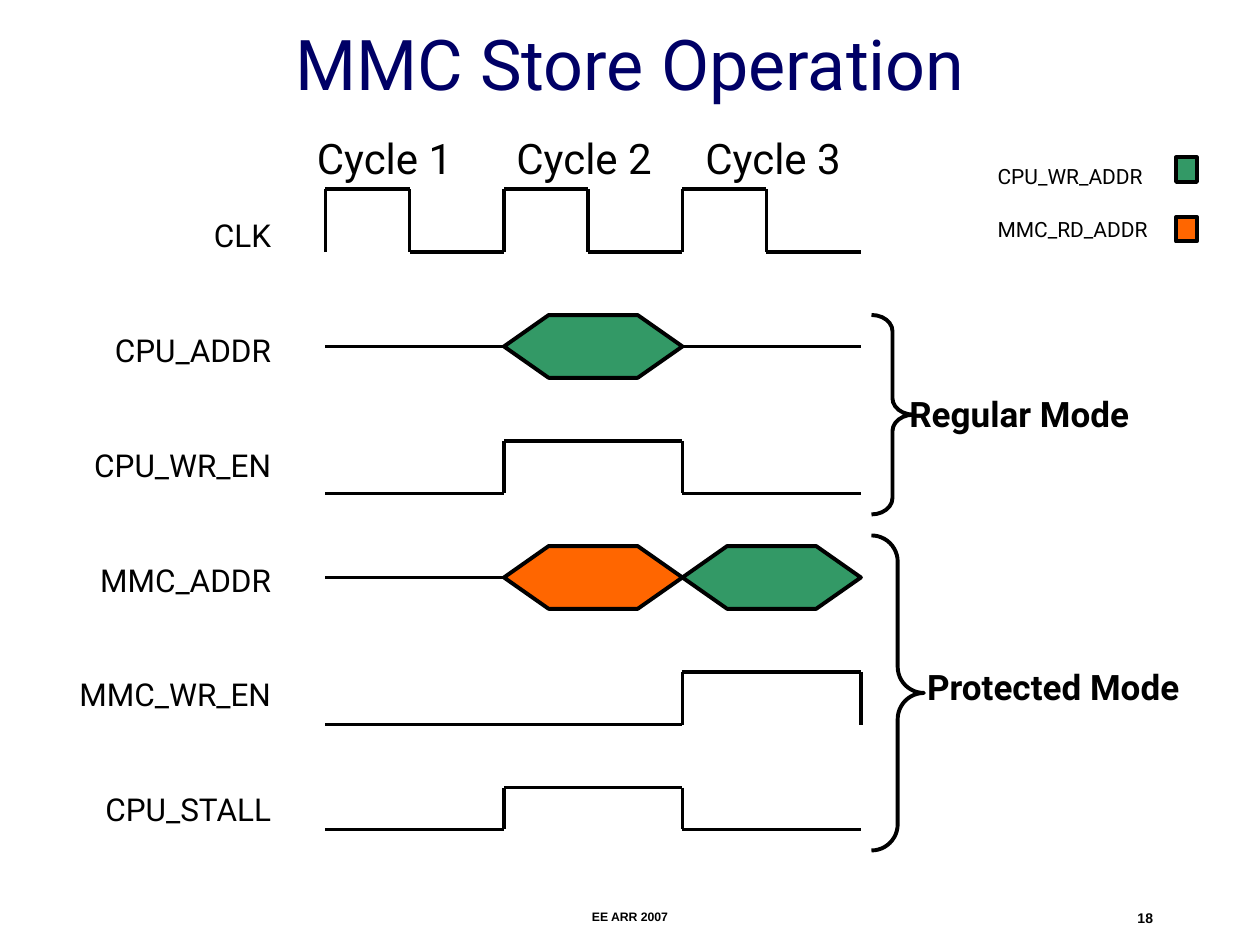
from itertools import pairwise
from typing import NamedTuple

from lxml.etree import SubElement
from pptx import Presentation
from pptx.dml.color import RGBColor
from pptx.enum.shapes import MSO_CONNECTOR, MSO_SHAPE
from pptx.enum.text import MSO_ANCHOR, PP_ALIGN
from pptx.oxml.ns import qn
from pptx.util import Pt

BLACK = RGBColor(0x00, 0x00, 0x00)
NAVY = RGBColor(0x00, 0x00, 0x66)
GREEN = RGBColor(0x33, 0x99, 0x66)
ORANGE = RGBColor(0xFF, 0x66, 0x00)

LINE_WIDTH = 2.25
CYCLE_START = 186
CYCLE_WIDTH = 102
CLOCK_HIGH_WIDTH = 48
BUS_HEIGHT = 36
CYCLES = 3


class Waveform(NamedTuple):
    high: float
    low: float
    active_cycle: int


class Bus(NamedTuple):
    middle: float
    colors: tuple[RGBColor | None, ...]


class LegendEntry(NamedTuple):
    name: str
    color: RGBColor
    text_top: float
    text_width: float
    swatch_top: float


class Mode(NamedTuple):
    name: str
    top: float
    height: float
    brace_width: float
    curve: float
    text_left: float
    text_top: float
    text_width: float


SIGNALS = ("CLK", "CPU_ADDR", "CPU_WR_EN", "MMC_ADDR", "MMC_WR_EN", "CPU_STALL")
WAVEFORMS = (Waveform(252, 282, 1), Waveform(384, 414, 2), Waveform(450, 474, 1))
BUSES = (Bus(198, (None, GREEN, None)), Bus(330, (None, ORANGE, GREEN)))
LEGEND = (
    LegendEntry("CPU_WR_ADDR", GREEN, 90, 100, 90),
    LegendEntry("MMC_RD_ADDR", ORANGE, 120, 103, 124),
)
MODES = (
    Mode("Regular Mode", 180, 114, 24, 0.39, 512.6, 221, 153.4),
    Mode("Protected Mode", 306, 180, 30, 0.5, 522.7, 376.6, 173.5),
)
CYCLE_TEXT_LEFTS = (174, 288, 396)


def add_text(page, text: str, left: float, top: float, width: float, height: float, *,
             size: float, font: str = "Roboto", color: RGBColor = BLACK,
             bold: bool = False, align: PP_ALIGN = PP_ALIGN.LEFT,
             anchor: MSO_ANCHOR = MSO_ANCHOR.TOP, wrap: bool = True,
             gap: float = 0) -> None:
    box = page.shapes.add_textbox(Pt(left), Pt(top), Pt(width), Pt(height))
    frame = box.text_frame
    frame.word_wrap = wrap
    frame.vertical_anchor = anchor
    frame.text = text
    for index, para in enumerate(frame.paragraphs):
        para.alignment = align
        if index:
            para.space_before = Pt(gap)
        for span in para.runs:
            span.font.name = font
            span.font.size = Pt(size)
            span.font.bold = bold
            span.font.color.rgb = color


def add_shape(page, kind: MSO_SHAPE, left: float, top: float, width: float,
              height: float, fill: RGBColor | None, adjustments: tuple[float, ...] = ()) -> None:
    shape = page.shapes.add_shape(kind, Pt(left), Pt(top), Pt(width), Pt(height))
    shape.shadow.inherit = False
    for index, value in enumerate(adjustments):
        shape.adjustments[index] = value
    if fill is None:
        shape.fill.background()
    else:
        shape.fill.solid()
        shape.fill.fore_color.rgb = fill
    shape.line.color.rgb = BLACK
    shape.line.width = Pt(LINE_WIDTH)


def add_trace(page, points: list[tuple[float, float]]) -> None:
    for start, end in pairwise(points):
        line = page.shapes.add_connector(
            MSO_CONNECTOR.STRAIGHT, *(Pt(value) for value in start + end))
        line.line.color.rgb = BLACK
        line.line.width = Pt(LINE_WIDTH)
        SubElement(line._element.spPr, qn("a:effectLst"))


def cycle_left(cycle: int) -> float:
    return CYCLE_START + cycle * CYCLE_WIDTH


def draw_clock(page, high: float, low: float) -> None:
    points = [(cycle_left(0), low)]
    for cycle in range(CYCLES):
        left = cycle_left(cycle)
        fall = left + CLOCK_HIGH_WIDTH
        points += [(left, high), (fall, high), (fall, low), (cycle_left(cycle + 1), low)]
        if cycle < CYCLES - 1:
            points.append((cycle_left(cycle + 1), low))
    add_trace(page, list(dict.fromkeys(points)))


def draw_waveform(page, wave: Waveform) -> None:
    rise, fall = cycle_left(wave.active_cycle), cycle_left(wave.active_cycle + 1)
    points = [(cycle_left(cycle), wave.low) for cycle in range(wave.active_cycle + 1)]
    points += [(rise, wave.high), (fall, wave.high)]
    points += [(cycle_left(cycle), wave.low)
               for cycle in range(wave.active_cycle + 1, CYCLES + 1)]
    add_trace(page, points)


def draw_bus(page, bus: Bus) -> None:
    for cycle, color in enumerate(bus.colors):
        left = cycle_left(cycle)
        if color is None:
            add_trace(page, [(left, bus.middle), (left + CYCLE_WIDTH, bus.middle)])
        else:
            add_shape(page, MSO_SHAPE.HEXAGON, left, bus.middle - BUS_HEIGHT / 2,
                      CYCLE_WIDTH, BUS_HEIGHT, color, (0.71, 1.15))


def draw_legend_entry(page, entry: LegendEntry) -> None:
    add_text(page, entry.name, 563, entry.text_top, entry.text_width, 21.6,
             size=12, wrap=False)
    add_shape(page, MSO_SHAPE.RECTANGLE, 672, entry.swatch_top, 12, 14, entry.color)


def draw_mode(page, mode: Mode) -> None:
    add_shape(page, MSO_SHAPE.RIGHT_BRACE, 498, mode.top, mode.brace_width,
              mode.height, None, (mode.curve, 0.5))
    add_text(page, mode.name, mode.text_left, mode.text_top, mode.text_width, 31.5,
             size=20, bold=True, wrap=False)


def main() -> None:
    deck = Presentation()
    deck.slide_width, deck.slide_height = Pt(720), Pt(540)
    page = deck.slides.add_slide(deck.slide_layouts[6])

    add_text(page, "MMC Store Operation", 54, 0, 612, 72, size=40, color=NAVY,
             align=PP_ALIGN.CENTER, anchor=MSO_ANCHOR.MIDDLE)
    for number, left in enumerate(CYCLE_TEXT_LEFTS, 1):
        add_text(page, f"Cycle {number}", left, 72, 102, 36, size=24)
    add_text(page, "\n".join(SIGNALS), 0, 120, 162, 358, size=18,
             align=PP_ALIGN.RIGHT, gap=44)

    draw_clock(page, 108, 144)
    for wave in WAVEFORMS:
        draw_waveform(page, wave)
    for bus in BUSES:
        draw_bus(page, bus)
    for entry in LEGEND:
        draw_legend_entry(page, entry)
    for mode in MODES:
        draw_mode(page, mode)

    add_text(page, "EE ARR 2007", 246, 516, 228, 12, size=7, font="Arial",
             bold=True, align=PP_ALIGN.CENTER)
    add_text(page, "18", 516, 516, 150, 12, size=8, font="Arial",
             bold=True, align=PP_ALIGN.RIGHT)
    deck.save("out.pptx")


if __name__ == "__main__":
    main()
